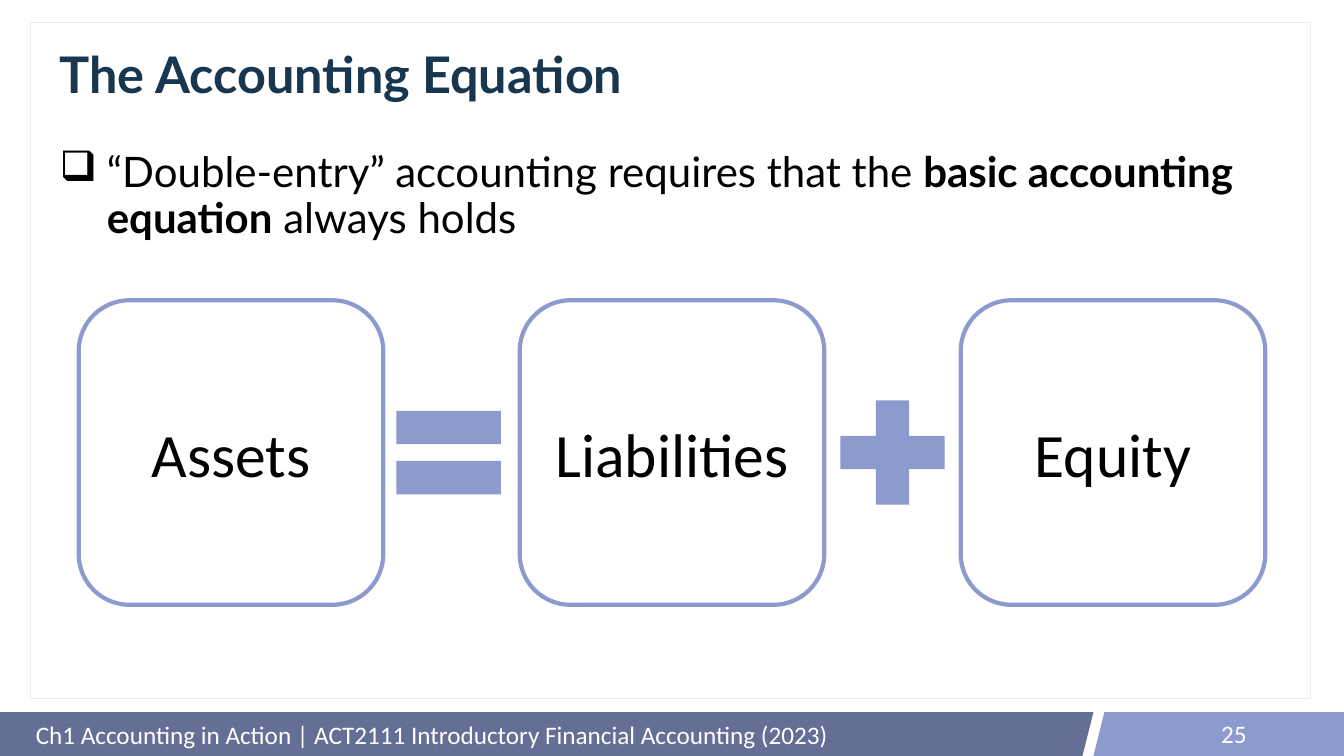
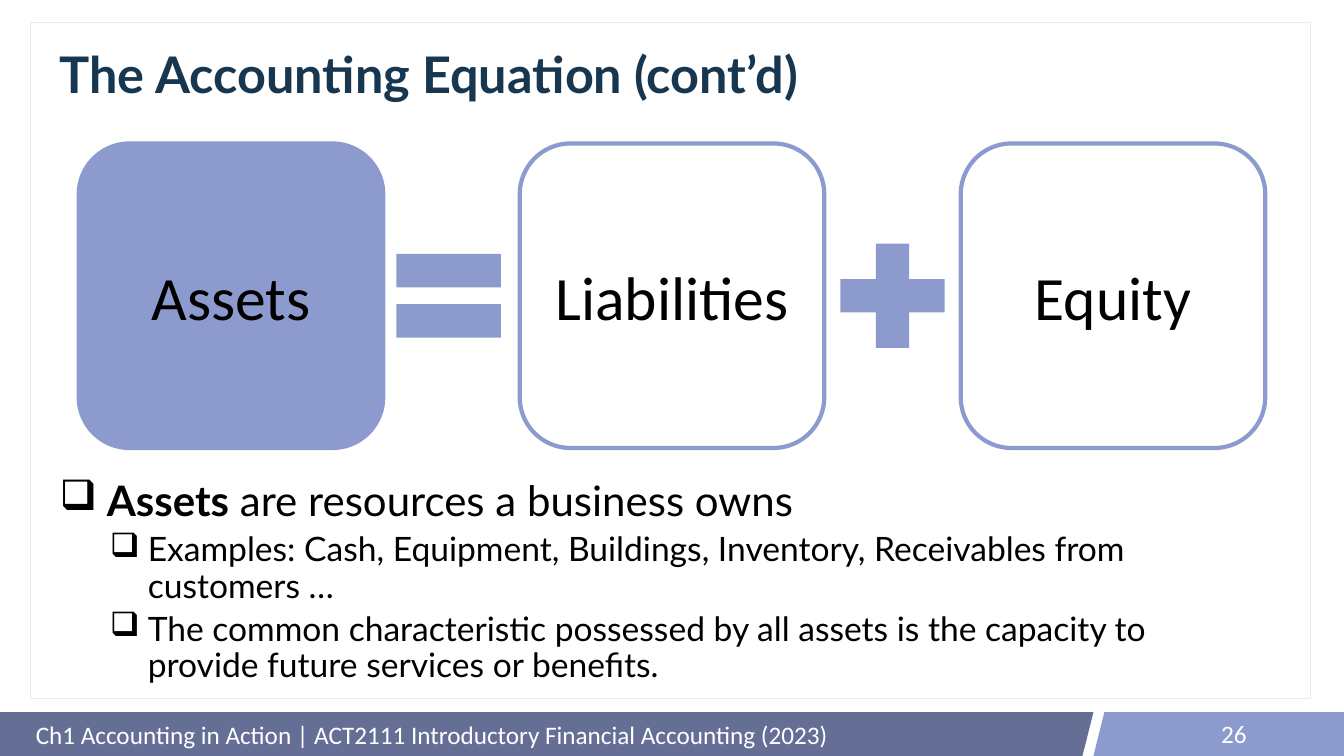
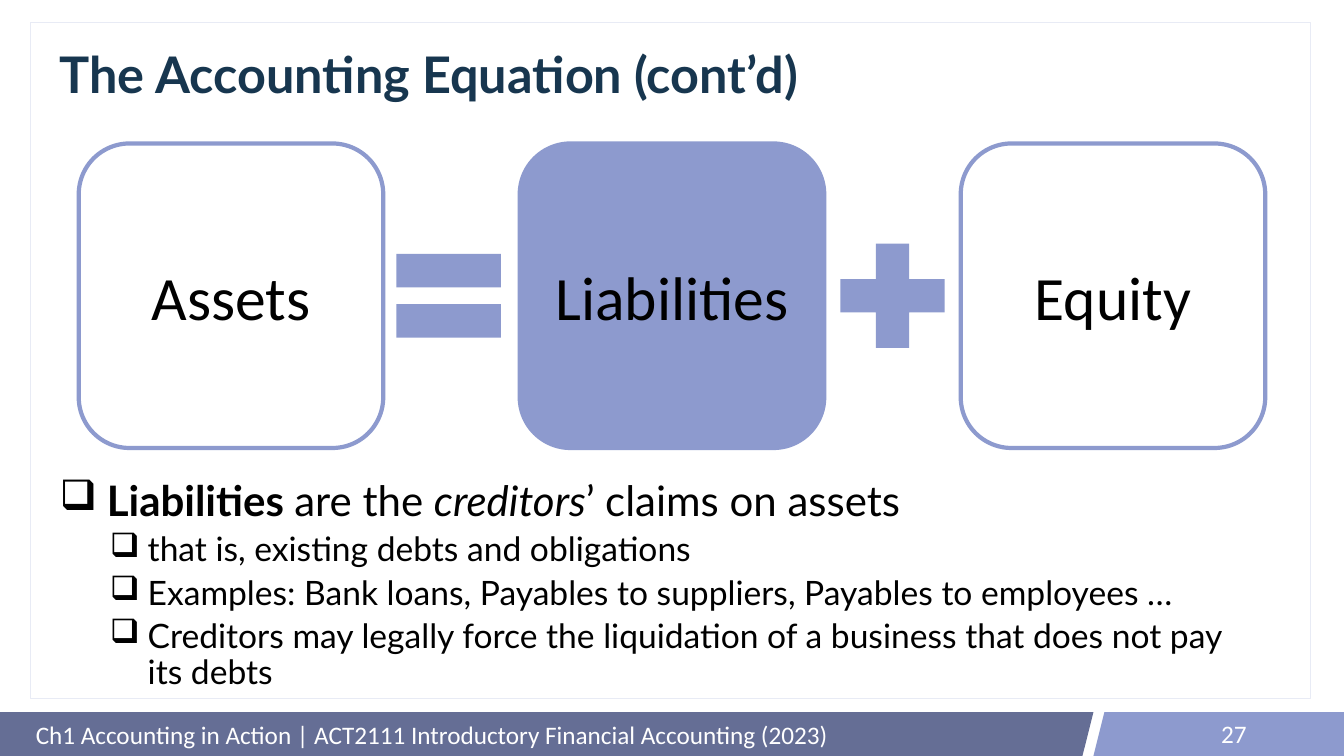
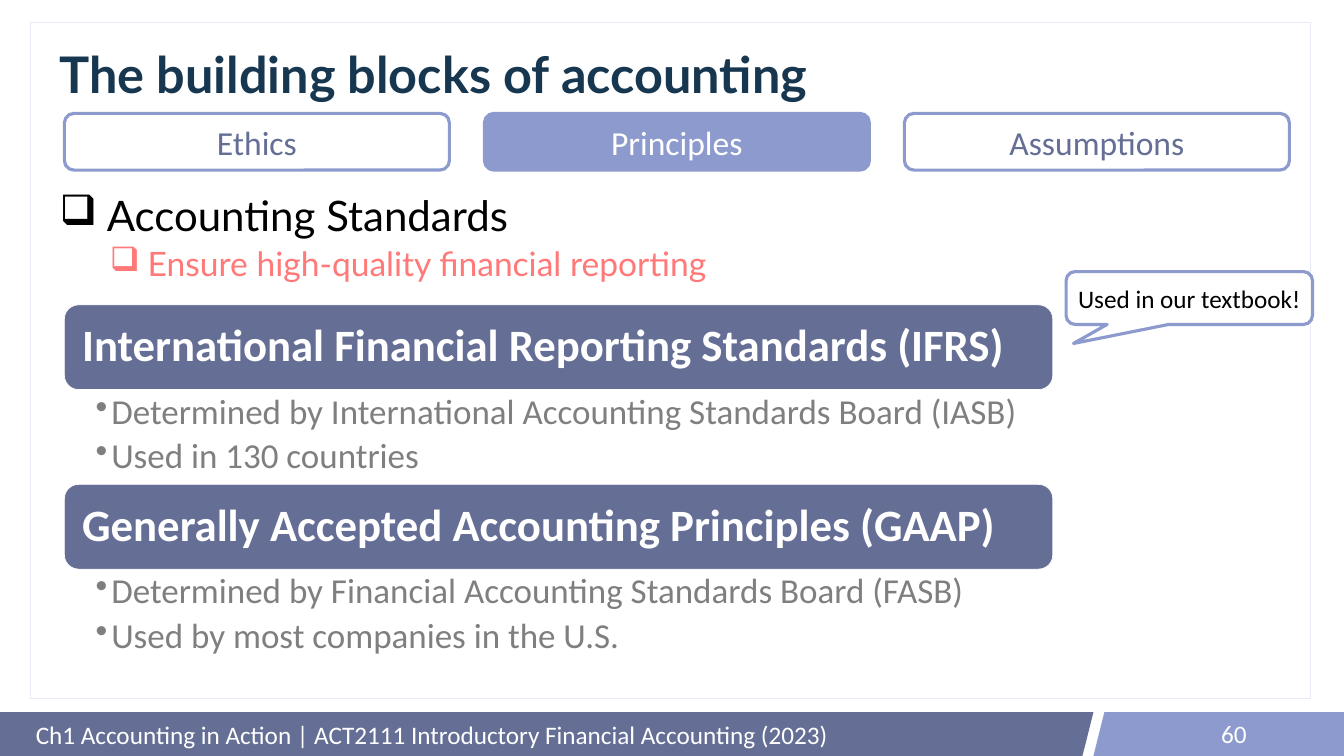
from pptx import Presentation
from pptx.util import Pt
from pptx.dml.color import RGBColor as Rgb
from pptx.enum.shapes import MSO_SHAPE as Kind
from pptx.enum.text import MSO_ANCHOR as Anchor, PP_ALIGN as Align
from pptx.oxml.ns import qn
from lxml.etree import SubElement as Sub

# Shared style
HUE = {"white": "FFFFFF", "black": "000000", "navy": "17364F", "slate": "656E95",
       "blue": "8D9ACE", "pale": "E8EBF5", "red": "FF7979", "gray": "7F7F7F"}
FOOT = "Ch1 Accounting in Action | ACT2111 Introductory Financial Accounting (2023)"
# Bullet levels: mark, left margin, hanging indent, space before, space after
TOP = ("❑", 67.5, 67.5, 20, 0)
SUB = ("❑", 126, 54, 10, 0)
DOT = ("•", 22.5, 22.5, 0, 9.5)

deck = Presentation()
deck.slide_width, deck.slide_height = Pt(1920), Pt(1080)


def form(page, kind, at, fill=None, line=None, width=1):
    """Add a preset shape, or a text box when kind is None."""
    area = [Pt(n) for n in at]
    if kind is None:
        return page.shapes.add_textbox(*area)
    item = page.shapes.add_shape(kind, *area)
    item.shadow.inherit = False
    item.fill.solid()
    item.fill.fore_color.rgb = Rgb.from_string(HUE[fill])
    if line:
        item.line.color.rgb = Rgb.from_string(HUE[line])
        item.line.width = Pt(width)
    else:
        item.line.fill.background()
    return item


def write(item, text, size=36, hue="black", font="Calibri", bold=False, align=Align.LEFT,
          anchor=Anchor.MIDDLE, pad=(7.2, 3.6, 7.2, 3.6), gap=None, level=None, more=False):
    """Write one paragraph: a string, or a list of strings and (string, "b" or "i")."""
    frame = item.text_frame
    frame.word_wrap = True
    frame.vertical_anchor = anchor
    frame.margin_left, frame.margin_top, frame.margin_right, frame.margin_bottom = map(Pt, pad)
    para = frame.add_paragraph() if more else frame.paragraphs[0]
    para.alignment = align
    if level:
        mark, left, hang, before, after = level
        prop = para._p.get_or_add_pPr()
        prop.set("marL", str(Pt(left)))
        prop.set("indent", str(-Pt(hang)))
        Sub(prop, qn("a:buChar"), char=mark)
        para.space_before = Pt(before if more else 0)
        para.space_after = Pt(after)
    if gap:
        para.line_spacing = gap
    for part in [text] if isinstance(text, str) else text:
        words, look = (part, "") if isinstance(part, str) else part
        run = para.add_run()
        run.text = words
        run.font.name, run.font.size = font, Pt(size)
        run.font.bold = bold or look == "b"
        run.font.italic = look == "i"
        run.font.color.rgb = Rgb.from_string(HUE[hue])


# Content: number, title, body area, body lines, top of equation, marked term
CONT = "The Accounting Equation (cont’d)"
PAGES = [
    (25, "The Accounting Equation", (78, 213, 1756, 760), [
        (TOP, ["“Double-entry” accounting requires that the ",
               ("basic accounting equation", "b"), " always holds"], "black"),
    ], 429, None),
    (26, CONT, (78, 683, 1691, 375), [
        (TOP, [("Assets", "b"), " are resources a business owns"], "black"),
        (SUB, "Examples: Cash, Equipment, Buildings, Inventory, Receivables from customers …",
         "black"),
        (SUB, "The common characteristic possessed by all assets is the capacity to provide "
              "future services or benefits.", "black"),
    ], 205, "Assets"),
    (27, CONT, (78, 683, 1722, 397), [
        (TOP, [("Liabilities ", "b"), "are the ", ("creditors", "i"), "’ claims on assets"],
         "black"),
        (SUB, "that is, existing debts and obligations", "black"),
        (SUB, "Examples: Bank loans, Payables to suppliers, Payables to employees …", "black"),
        (SUB, "Creditors may legally force the liquidation of a business that does not pay "
              "its debts", "black"),
    ], 205, "Liabilities"),
    (60, "The building blocks of accounting", (78, 275, 1756, 150), [
        (TOP, "Accounting Standards", "black"),
        (SUB, "Ensure high-quality financial reporting", "red"),
    ], None, None),
]
RULES = [
    ("International Financial Reporting Standards (IFRS)",
     ["Determined by International Accounting Standards Board (IASB)",
      "Used in 130 countries"]),
    ("Generally Accepted Accounting Principles (GAAP)",
     ["Determined by Financial Accounting Standards Board (FASB)",
      "Used by most companies in the U.S."]),
]

for num, title, area, lines, top, term in PAGES:
    page = deck.slides.add_slide(deck.slide_layouts[6])

    # Footer bands and panel
    for kind, x, w, hue in [(Kind.RECTANGLE, 0, 1436, "slate"),
                            (Kind.PARALLELOGRAM, 1252, 310, "slate"),
                            (Kind.PARALLELOGRAM, 1562, 310, "blue"),
                            (Kind.RECTANGLE, 1611, 309, "blue")]:
        form(page, kind, (x, 1017.5, w, 62.5), hue)
    panel = form(page, Kind.RECTANGLE, (44, 31.5, 1828, 965.5), "white", "pale")
    tint = panel._element.spPr.find(qn("a:solidFill"))[0]
    Sub(tint, qn("a:alpha"), val="85000")

    # Title and body
    write(form(page, None, (78, 57.5, 1756, 104.5)), title,
          size=72, hue="navy", font="Lato", bold=True, gap=0.9)
    body = form(page, None, area)
    for i, (level, text, hue) in enumerate(lines):
        write(body, text, size=60 if level is TOP else 48, hue=hue, font="Lato",
              anchor=Anchor.TOP, gap=0.9, level=level, more=i > 0)

    # Equation
    if top:
        for i, name in enumerate(["Assets", "Liabilities", "Equity"]):
            tile = form(page, Kind.ROUNDED_RECTANGLE, (112.5 + 630 * i, top, 435, 435),
                        "blue" if name == term else "white", "blue", 6)
            write(tile, name, size=88, align=Align.CENTER)
        for kind, x in [(Kind.MATH_EQUAL, 539.5), (Kind.MATH_PLUS, 1173.5)]:
            form(page, kind, (x, top + 116, 203, 203), "blue")

    # Building blocks
    else:
        for i, name in enumerate(["Ethics", "Principles", "Assumptions"]):
            live = name == "Principles"
            tab = form(page, Kind.ROUNDED_RECTANGLE, (92 + 600 * i, 162, 550, 81),
                       "blue" if live else "white", "blue", 4.5)
            write(tab, name, size=48, hue="white" if live else "slate", align=Align.CENTER)
        for i, (head, facts) in enumerate(RULES):
            y = 435.5 + 256.5 * i
            bar = form(page, Kind.ROUNDED_RECTANGLE, (92, y, 1412, 121), "slate", "white")
            write(bar, head, size=64, hue="white", bold=True, gap=0.9, pad=(19.5, 14, 14, 14))
            notes = form(page, None, (92, y + 121, 1412, 135.5))
            for j, fact in enumerate(facts):
                write(notes, fact, size=50, hue="gray", anchor=Anchor.TOP, gap=0.9,
                      pad=(44.5, 6.5, 36, 6.5), level=DOT, more=j > 0)
        call = form(page, Kind.ROUNDED_RECTANGULAR_CALLOUT, (1523, 388, 352, 75.5),
                    "white", "blue", 4.5)
        for i, part in enumerate([-0.47, 0.86, 0.17]):
            call.adjustments[i] = part
        write(call, "Used in our textbook!", align=Align.CENTER)

    # Footer text
    write(form(page, None, (44, 1019, 1483, 61)), FOOT, hue="white")
    write(form(page, None, (1356, 1019, 432, 57.5)), str(num), hue="white", align=Align.RIGHT)

deck.save("out.pptx")
